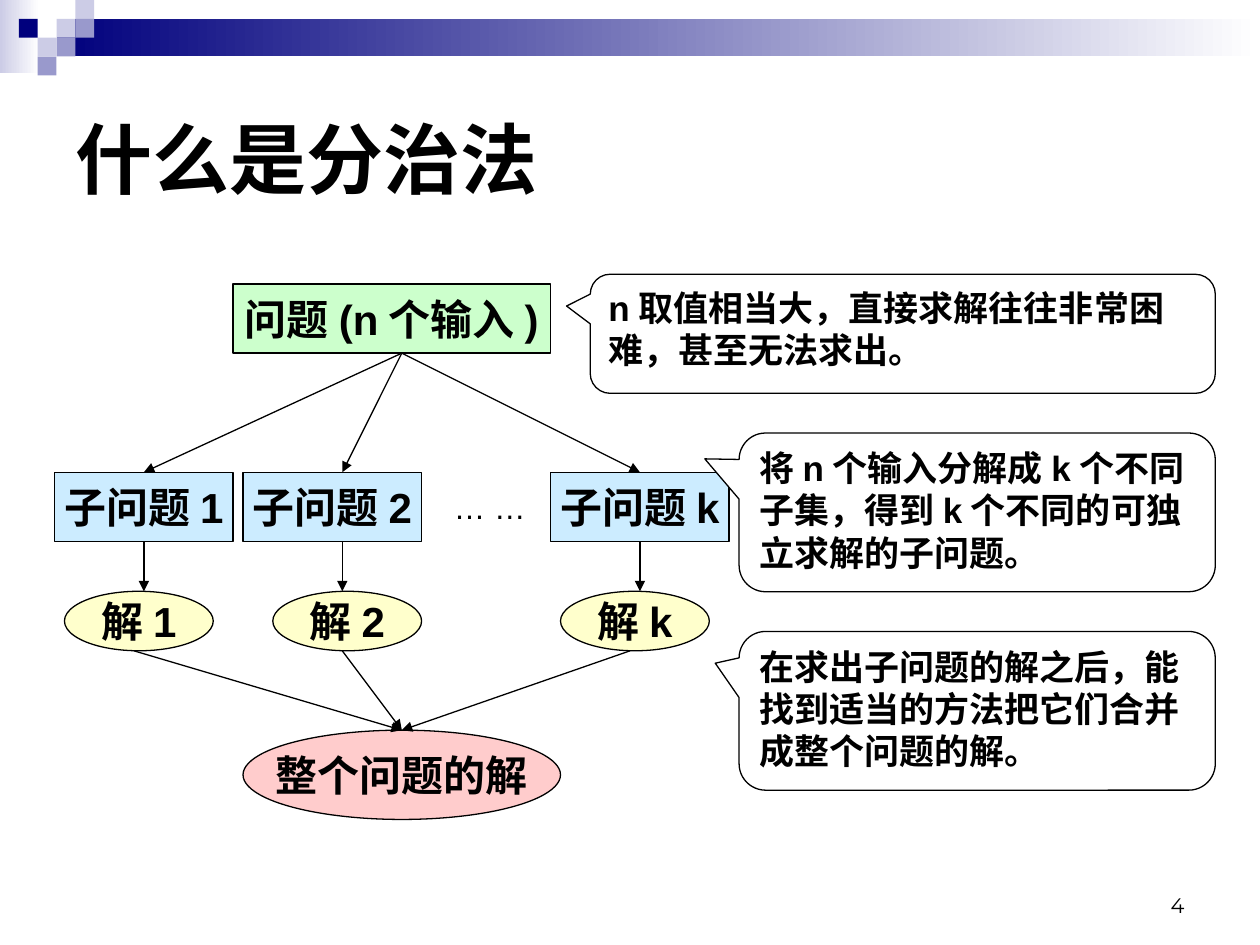
from lxml import etree
from pptx import Presentation
from pptx import util as u
from pptx.dml.color import RGBColor
from pptx.enum import shapes, text
from pptx.oxml import ns

BLACK = RGBColor(0x00, 0x00, 0x00)
WHITE = RGBColor(0xFF, 0xFF, 0xFF)
NAVY = RGBColor(0x00, 0x00, 0x7D)
LAVENDER = RGBColor(0xCC, 0xCC, 0xE6)
VIOLET = RGBColor(0x99, 0x99, 0xCC)
GREEN = RGBColor(0xCC, 0xFF, 0xCC)
BLUE = RGBColor(0xCC, 0xEC, 0xFF)
YELLOW = RGBColor(0xFF, 0xFF, 0xCC)
PINK = RGBColor(0xFF, 0xCC, 0xCC)

KIND = shapes.MSO_SHAPE
TITLE = {"name": "Arial", "size": u.Pt(44), "bold": True}
NODE = {"name": "Arial", "size": u.Pt(24), "bold": True}
NOTE = {"name": "Arial", "size": u.Pt(20), "bold": True}
DOTS = {"name": "Arial", "size": u.Pt(18), "bold": False}
NUMBER = {"name": "Montserrat", "size": u.Pt(12), "bold": False}


def lengths(*values):
    return [u.Cm(value) for value in values]


def write(box, words, style, align=text.PP_ALIGN.LEFT,
          anchor=text.MSO_ANCHOR.TOP, wrap=True):
    frame = box.text_frame
    frame.word_wrap = wrap
    frame.vertical_anchor = anchor
    para = frame.paragraphs[0]
    para.alignment = align
    span = para.add_run()
    span.text = words
    for name, value in style.items():
        setattr(span.font, name, value)
    span.font.color.rgb = BLACK


def add_shape(page, kind, place, color, weight=0.75):
    shape = page.shapes.add_shape(kind, *lengths(*place))
    shape.shadow.inherit = False
    shape.fill.solid()
    shape.fill.fore_color.rgb = color
    if weight:
        shape.line.color.rgb = BLACK
        shape.line.width = u.Pt(weight)
    else:
        shape.line.fill.background()
    return shape


def add_node(page, kind, place, color, words, weight=0.75):
    node = add_shape(page, kind, place, color, weight)
    write(node, words, NODE, text.PP_ALIGN.CENTER, text.MSO_ANCHOR.MIDDLE, False)
    return node


def add_label(page, place, words, style, **layout):
    write(page.shapes.add_textbox(*lengths(*place)), words, style, **layout)


def add_arrow(page, start, end, source=None, target=None):
    arrow = page.shapes.add_connector(
        shapes.MSO_CONNECTOR.STRAIGHT, *lengths(*start, *end))
    if source is not None:
        arrow.begin_connect(source, 2)
    if target is not None:
        arrow.end_connect(target, 0)
    arrow.line.color.rgb = BLACK
    arrow.line.width = u.Pt(0.75)
    etree.SubElement(arrow.line._get_or_add_ln(), ns.qn("a:tailEnd"), type="triangle")
    etree.SubElement(arrow._element.spPr, ns.qn("a:effectLst"))


def add_banner(page, left, top, width):
    cell = 0.38
    bands = [((left, top, 0.79, 1.47), LAVENDER),
             ((left + 3 * cell, top + cell, width - 3 * cell, 2 * cell), NAVY)]
    for place, color in bands:
        band = add_shape(page, KIND.RECTANGLE, place, color, 0)
        band.fill.gradient()
        band.fill.gradient_angle = 0
        for stop, shade in zip(band.fill.gradient_stops, (color, WHITE)):
            stop.color.rgb = shade
    squares = [(3, 1, LAVENDER), (4, 0, LAVENDER), (4, 1, VIOLET), (2, 2, LAVENDER),
               (1, 1, NAVY), (3, 2, VIOLET), (2, 3, VIOLET)]
    for column, row, color in squares:
        place = (left + column * cell, top + row * cell, cell, cell)
        add_shape(page, KIND.RECTANGLE, place, color, 0)


def add_title(page, left, top, width, height):
    title = page.shapes.title
    place = dict(zip(("left", "top", "width", "height"),
                     lengths(left, top, width, height)))
    for name, value in place.items():
        setattr(title, name, value)
    write(title, "什么是分治法", TITLE, anchor=text.MSO_ANCHOR.MIDDLE)


def add_tree(page, left, top):
    split_x = left + 7
    part_top, answer_top, result_top = top + 3.8, top + 6.2, top + 9
    part_width, part_height = 3.6, 1.4
    answer_width, answer_height = 3, 1.2

    add_node(page, KIND.RECTANGLE, (left + 3.6, top, 6.4, part_height),
             GREEN, "问题(n个输入)", 1)
    add_label(page, (left + 7.8, part_top + 0.2, 2.2, 1), "… …", DOTS)
    result = add_node(page, KIND.OVAL, (left + 3.8, result_top, 6.4, 1.8),
                      PINK, "整个问题的解")

    branches = [("1", 0, 1.8, 0.2, 1.6, True),
                ("2", 3.8, 5.8, 4.4, 5.8, False),
                ("k", 10, 11.8, 10.2, 11.6, True)]
    for mark, part_x, stem_x, answer_x, merge_x, centred in branches:
        part = add_node(page, KIND.RECTANGLE,
                        (left + part_x, part_top, part_width, part_height),
                        BLUE, "子问题" + mark)
        add_node(page, KIND.OVAL,
                 (left + answer_x, answer_top, answer_width, answer_height),
                 YELLOW, "解" + mark)
        joint = part if centred else None
        stem = left + stem_x
        add_arrow(page, (split_x, top + part_height), (stem, part_top), target=joint)
        add_arrow(page, (stem, part_top + part_height), (stem, answer_top), source=joint)
        add_arrow(page, (left + merge_x, answer_top + answer_height),
                  (split_x, result_top), target=result)


def add_callouts(page, right, top):
    notes = [(0, 12.6, 2.4, (-0.538, -0.233), "n取值相当大，直接求解往往非常困难，甚至无法求出。"),
             (3.2, 9.6, 3.2, (-0.572, -0.337),
              "将n个输入分解成k个不同子集，得到k个不同的可独立求解的子问题。"),
             (7.2, 9.6, 3.2, (-0.55, -0.3),
              "在求出子问题的解之后，能找到适当的方法把它们合并成整个问题的解。")]
    for drop, width, height, tip, words in notes:
        place = (right - width, top + drop, width, height)
        callout = add_shape(page, KIND.ROUNDED_RECTANGULAR_CALLOUT, place, WHITE)
        for index, value in enumerate((*tip, 0.167)):
            callout.adjustments[index] = value
        write(callout, words, NOTE)


def main():
    deck = Presentation()
    deck.slide_width, deck.slide_height = lengths(25.4, 19.05)
    page = deck.slides.add_slide(deck.slide_layouts[5])
    add_banner(page, 0, 0, 25.4)
    add_title(page, 1.27, 1.27, 22.86, 3.81)
    add_tree(page, 1.1, 5.72)
    add_callouts(page, 24.5, 5.53)
    add_label(page, (18.2, 17.35, 5.93, 1.27), "4", NUMBER,
              align=text.PP_ALIGN.RIGHT, anchor=text.MSO_ANCHOR.BOTTOM)
    deck.save("out.pptx")


if __name__ == "__main__":
    main()
